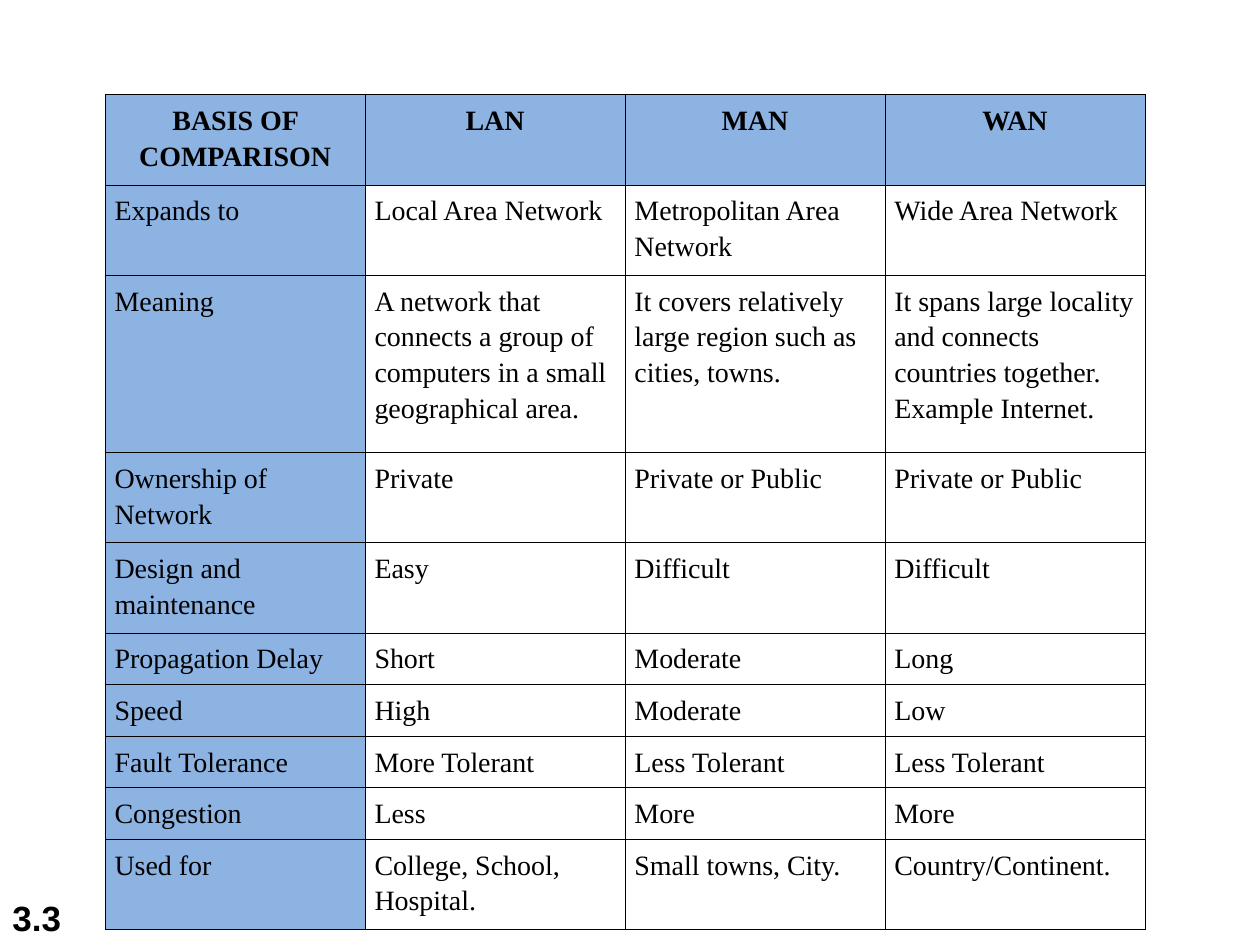
"""Build a slide with a table comparing LAN, MAN and WAN."""
from lxml import etree
from pptx import Presentation
from pptx import util as u
from pptx.dml.color import RGBColor
from pptx.enum import text
from pptx.oxml import ns

BLACK = RGBColor(0x00, 0x00, 0x00)
BLUE = RGBColor(0x8D, 0xB3, 0xE2)

ROWS = [
    (1.79, "BASIS OF COMPARISON", "LAN", "MAN", "WAN"),
    (1.79, "Expands to", "Local Area Network", "Metropolitan Area Network",
     "Wide Area Network"),
    (3.58, "Meaning",
     "A network that connects a group of computers in a small geographical area.",
     "It covers relatively large region such as cities, towns.",
     "It spans large locality and connects countries together. Example Internet."),
    (1.79, "Ownership of Network", "Private", "Private or Public", "Private or Public"),
    (1.79, "Design and maintenance", "Easy", "Difficult", "Difficult"),
    (0.89, "Propagation Delay", "Short", "Moderate", "Long"),
    (0.89, "Speed", "High", "Moderate", "Low"),
    (0.89, "Fault Tolerance", "More Tolerant", "Less Tolerant", "Less Tolerant"),
    (0.89, "Congestion", "Less", "More", "More"),
    (1.79, "Used for", "College, School, Hospital.", "Small towns, City.",
     "Country/Continent."),
]


def write(tf, words, font="Times New Roman", size=16, bold=False, align=None, spacing=None):
    tf.word_wrap = True
    p = tf.paragraphs[0]
    p.alignment = align
    p.line_spacing = spacing
    r = p.add_run()
    r.text = words
    r.font.name = font
    r.font.size = u.Pt(size)
    r.font.bold = bold
    r.font.color.rgb = BLACK


def add_borders(cell):
    tc_pr = cell._tc.get_or_add_tcPr()
    for side in ("a:lnL", "a:lnR", "a:lnT", "a:lnB"):
        ln = etree.SubElement(tc_pr, ns.qn(side), w=str(u.Pt(0.45)))
        fill = etree.SubElement(ln, ns.qn("a:solidFill"))
        etree.SubElement(fill, ns.qn("a:srgbClr"), val=str(BLACK))


prs = Presentation()
prs.slide_width, prs.slide_height = u.Cm(25.4), u.Cm(19.05)
s = prs.slides.add_slide(prs.slide_layouts[6])

sp = s.shapes.add_textbox(u.Cm(0), u.Cm(17.78), u.Cm(5.28), u.Cm(1.27))
sp.text_frame.vertical_anchor = text.MSO_ANCHOR.BOTTOM
write(sp.text_frame, "3.3", font="Arial", size=20, bold=True)

height = sum(row[0] for row in ROWS)
table = s.shapes.add_table(len(ROWS), 4, u.Cm(2.12), u.Cm(1.91),
                           u.Cm(20.96), u.Cm(height)).table
table.horz_banding = False
table.first_row = False

for i, (row_height, *labels) in enumerate(ROWS):
    table.rows[i].height = u.Cm(row_height)
    header = i == 0
    for j, label in enumerate(labels):
        cell = table.cell(i, j)
        cell.margin_left = cell.margin_right = u.Cm(0.19)
        cell.margin_top = cell.margin_bottom = u.Cm(0.13)
        add_borders(cell)
        if header or j == 0:
            cell.fill.solid()
            cell.fill.fore_color.rgb = BLUE
        else:
            cell.fill.background()
        write(cell.text_frame, label, bold=header, spacing=1.15,
              align=text.PP_ALIGN.CENTER if header else text.PP_ALIGN.LEFT)

prs.save("out.pptx")
